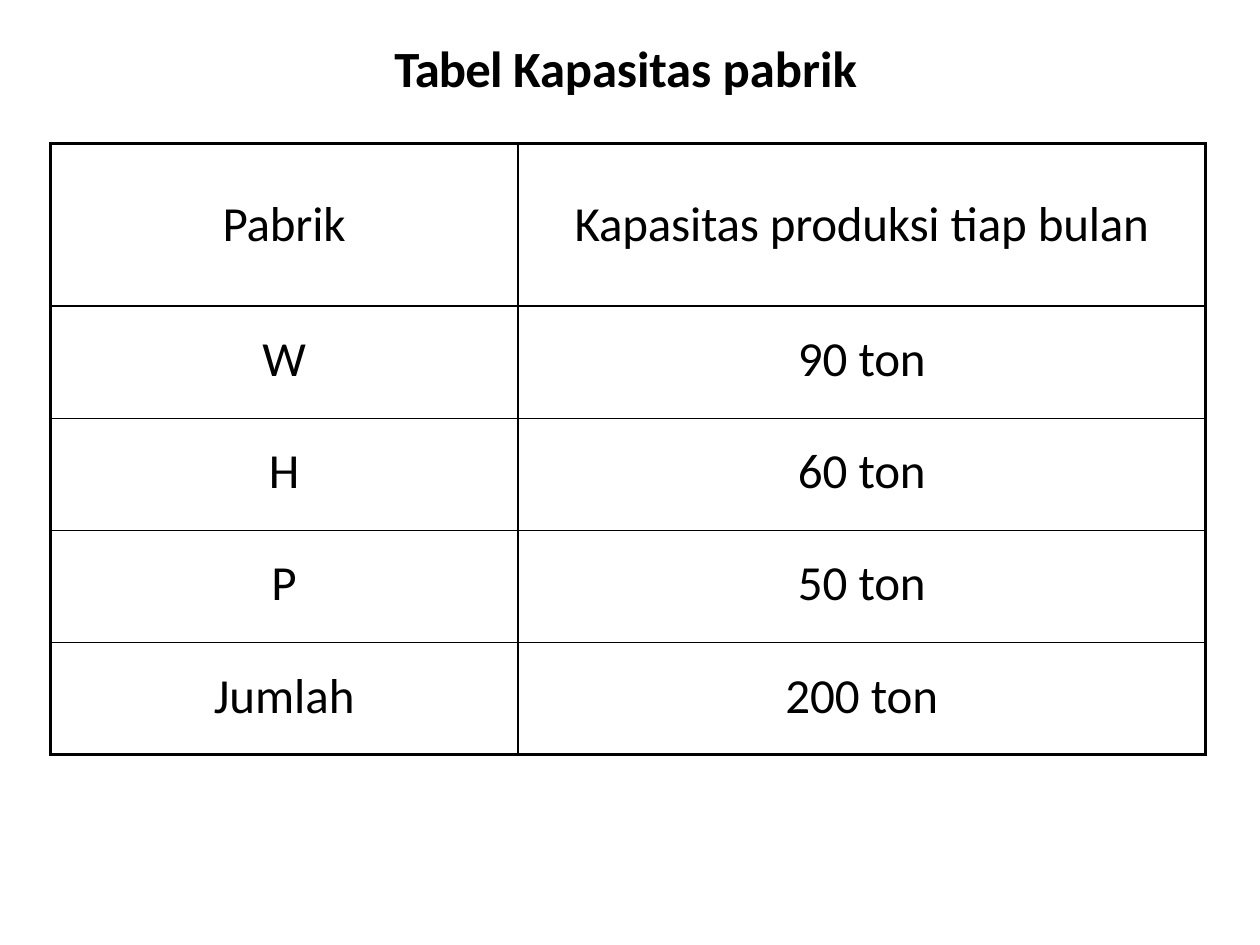
from lxml import etree
from pptx import Presentation
from pptx.dml.color import RGBColor
from pptx.enum import text
from pptx.oxml.ns import qn
from pptx.util import Inches, Pt

COLORS = {"ink": "000000", "paper": "FFFFFF"}
INK = RGBColor.from_string(COLORS["ink"])


def add_runs(p, runs, size, bold=False):
    """Add (wording, letter spacing in points) pairs to a paragraph."""
    for wording, spacing in runs:
        r = p.add_run()
        r.text = wording
        r.font.name = "Calibri"
        r.font.size = Pt(size)
        r.font.bold = bold
        r.font.color.rgb = INK
        r._r.get_or_add_rPr().set("spc", str(round(spacing * 100)))


def set_border(cell, side, width):
    tcPr = cell._tc.get_or_add_tcPr()
    ln = etree.SubElement(tcPr, qn(f"a:ln{side}"), w=str(Pt(width)))
    fill = etree.SubElement(ln, qn("a:solidFill"))
    etree.SubElement(fill, qn("a:srgbClr"), val=COLORS["ink"])


prs = Presentation()
prs.slide_width, prs.slide_height = Inches(10), Inches(7.5)
s = prs.slides.add_slide(prs.slide_layouts[6])

# Title
title = s.shapes.add_textbox(Inches(3.13), Inches(0.28), Inches(3.75), Inches(0.51))
tf = title.text_frame
tf.word_wrap = True
tf.margin_left = tf.margin_right = tf.margin_bottom = 0
tf.margin_top = Inches(0.01)
add_runs(tf.paragraphs[0], [("Tabel ", -0.5), ("Kapasitas ", -0.1), ("pabrik", 0)], 29, True)

# Capacity table
rows = [
    ([("Pabrik", -0.1)],
     [("Kapasitas produksi ", -0.1), ("tiap ", 0), ("bulan", -0.1)]),
    ([("W", 0)], [("90 ", 0), ("ton", -0.1)]),
    ([("H", 0)], [("60 ", 0), ("ton", -0.1)]),
    ([("P", 0)], [("50 ", 0), ("ton", -0.1)]),
    ([("Jumlah", 0)], [("200 ton", 0)]),
]
col_widths = [3.71, 5.46]
header_height, row_height = 1.29, 0.89
last_row, last_col = len(rows) - 1, len(col_widths) - 1
OUTER, INNER = 2.25, 1

frame = s.shapes.add_table(len(rows), len(col_widths), Inches(0.4), Inches(1.14),
                           Inches(sum(col_widths)),
                           Inches(header_height + row_height * last_row))
table = frame.table
table.first_row = table.horz_banding = False
for column, width in zip(table.columns, col_widths):
    column.width = Inches(width)

for i, row in enumerate(rows):
    table.rows[i].height = Inches(row_height if i else header_height)
    for j, runs in enumerate(row):
        cell = table.cell(i, j)
        cell.margin_left = cell.margin_right = cell.margin_bottom = 0
        cell.margin_top = Inches(0.19 if i else 0.41)
        cell.vertical_anchor = text.MSO_ANCHOR.TOP
        edges = {"L": j == 0, "R": j == last_col, "T": i == 0, "B": i == last_row}
        for side, is_outer in edges.items():
            set_border(cell, side, OUTER if is_outer else INNER)
        cell.fill.solid()
        cell.fill.fore_color.rgb = RGBColor.from_string(COLORS["paper"])
        p = cell.text_frame.paragraphs[0]
        p.alignment = text.PP_ALIGN.CENTER
        add_runs(p, runs, 28)

prs.save("out.pptx")
